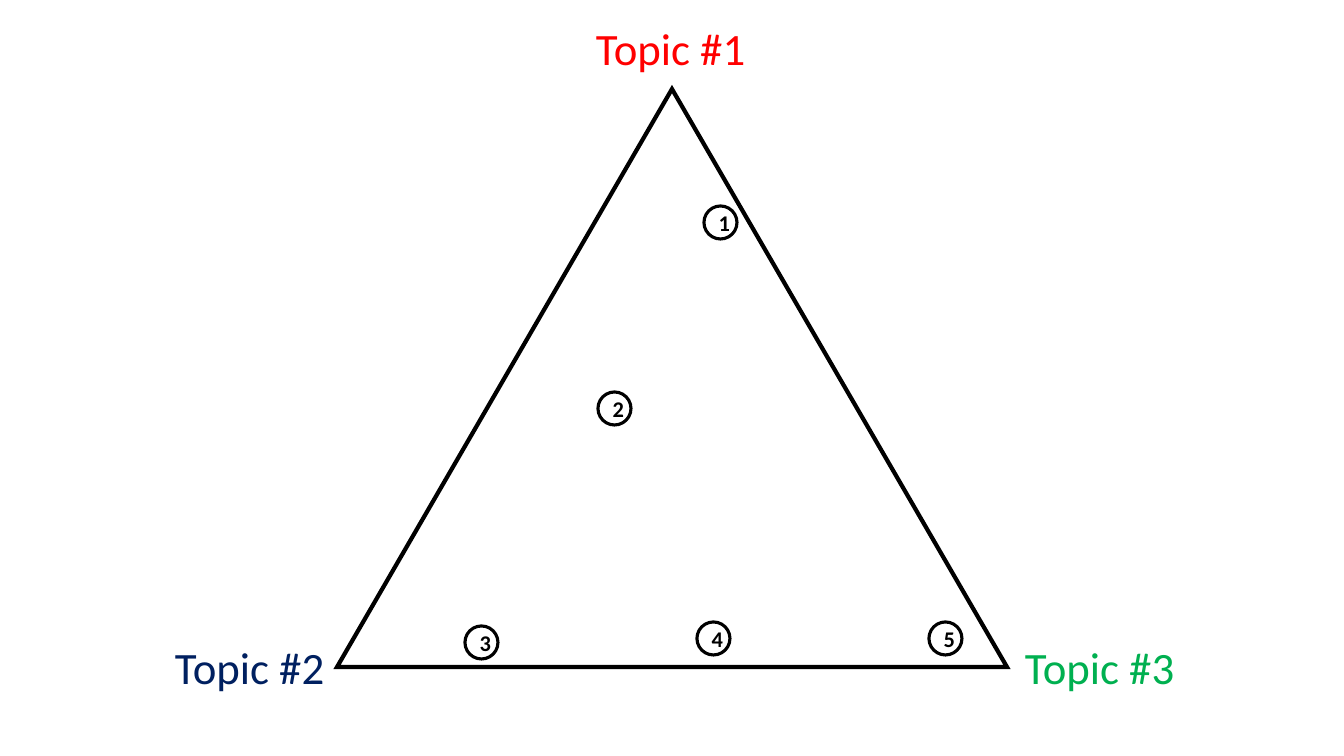
from pptx import Presentation
from pptx.dml.color import RGBColor
from pptx.enum.shapes import MSO_SHAPE
from pptx.enum.text import MSO_ANCHOR, MSO_AUTO_SIZE, PP_ALIGN
from pptx.oxml.ns import qn
from pptx.util import Pt
from lxml.etree import SubElement

# Content: lengths in px
SIZE = (1344, 756)
TRIANGLE = (337, 89, 670, 578)
TOPICS = [  # text, colour name, left, top
    ("Topic #1", "red", 586, 16),
    ("Topic #2", "navy", 165, 635),
    ("Topic #3", "green", 1015, 635),
]
POINTS = [(704, 206), (598, 392), (465, 626), (697, 622), (929, 622)]
LABEL = (171, 65)
DOT = (33, 33)

THEME = {
    "font": "Calibri",
    "red": RGBColor(0xFF, 0x00, 0x00),
    "navy": RGBColor(0x00, 0x20, 0x60),
    "green": RGBColor(0x00, 0xB0, 0x50),
    "ink": RGBColor(0x00, 0x00, 0x00),
    "paper": RGBColor(0xFF, 0xFF, 0xFF),
    "topic": Pt(32),
    "digit": Pt(16),
    "edge": Pt(3),
    "ring": Pt(2.25),
}


def px(*nums):
    return [round(num * 914400 / 100.8) for num in nums]


def put(target, **values):
    for name, value in values.items():
        setattr(target, name, value)


def write(frame, text, size, colour, bold=False):
    run = frame.paragraphs[0].add_run()
    run.text = text
    put(run.font, name=THEME["font"], size=THEME[size], bold=bold)
    run.font.color.rgb = THEME[colour]


def draw(kind, box, width):
    shape = slide.shapes.add_shape(kind, *px(*box))
    shape.shadow.inherit = False
    shape.line.color.rgb = THEME["ink"]
    shape.line.width = THEME[width]
    return shape


deck = Presentation()
wide, high = px(*SIZE)
put(deck, slide_width=wide, slide_height=high)
slide = deck.slides.add_slide(deck.slide_layouts[6])

# Triangle with sharp corners
triangle = draw(MSO_SHAPE.ISOSCELES_TRIANGLE, TRIANGLE, "edge")
triangle.fill.background()
edge = triangle.line._get_or_add_ln()
SubElement(edge, qn("a:miter"), lim="800000")

# Topic at each corner
for text, colour, left, top in TOPICS:
    frame = slide.shapes.add_textbox(*px(left, top, *LABEL)).text_frame
    put(frame, word_wrap=False, auto_size=MSO_AUTO_SIZE.SHAPE_TO_FIT_TEXT)
    write(frame, text, "topic", colour)

# Numbered points
for number, spot in enumerate(POINTS, 1):
    dot = draw(MSO_SHAPE.OVAL, spot + DOT, "ring")
    dot.fill.solid()
    dot.fill.fore_color.rgb = THEME["paper"]
    dot.text_frame.vertical_anchor = MSO_ANCHOR.MIDDLE
    dot.text_frame.paragraphs[0].alignment = PP_ALIGN.CENTER
    write(dot.text_frame, str(number), "digit", "ink", True)

deck.save("out.pptx")
